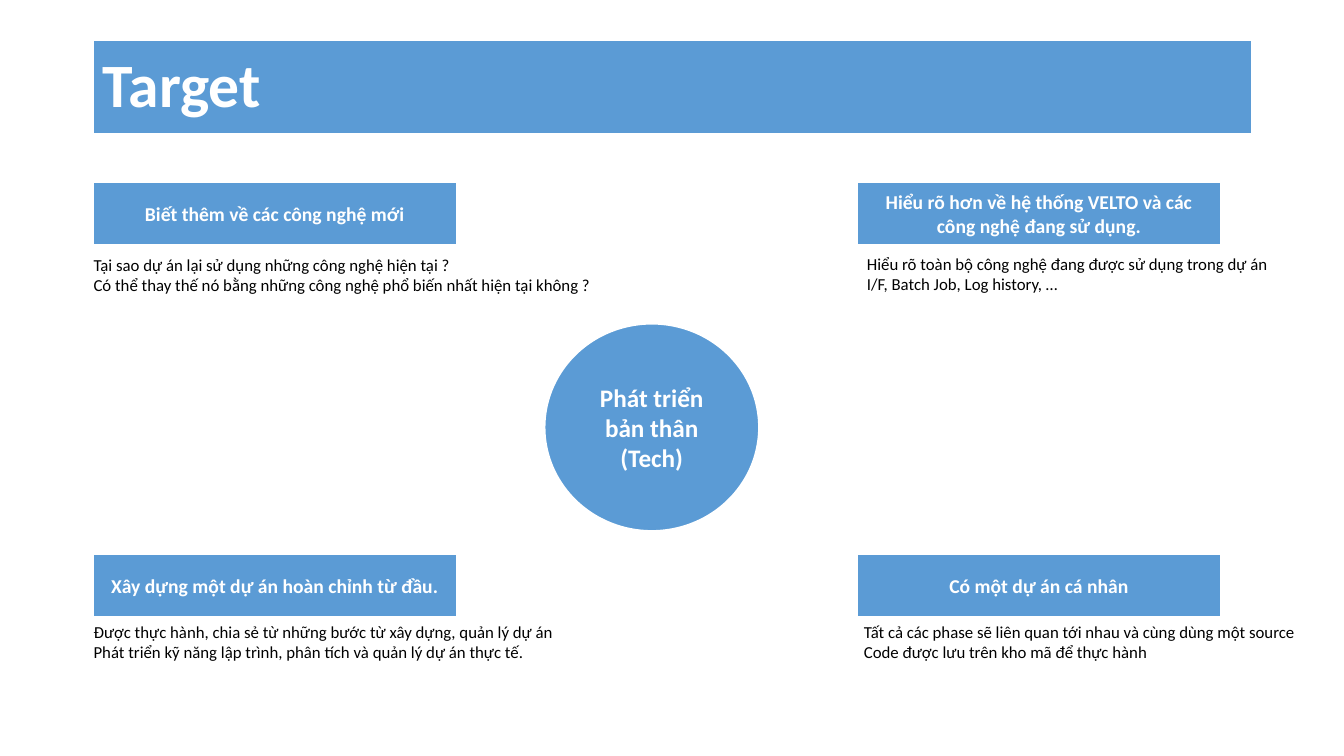
from pptx import Presentation
from pptx.dml.color import RGBColor
from pptx.enum.shapes import MSO_SHAPE as Shape
from pptx.enum.text import MSO_ANCHOR as Anchor, MSO_AUTO_SIZE as AutoSize, PP_ALIGN as Align
from pptx.util import Inches, Pt

BLUE = RGBColor(0x5B, 0x9B, 0xD5)
WHITE = RGBColor(0xFF, 0xFF, 0xFF)
BLACK = RGBColor(0x00, 0x00, 0x00)

LEFT, RIGHT = 0.92, 8.5
TOP, BOTTOM = 1.81, 5.5
HEADING_WIDTH, HEADING_HEIGHT = 3.61, 0.62

# Heading box (left, top), heading, note offset from the heading's lower left corner, note size, lines
GOALS = [
    ((LEFT, TOP), "Biết thêm về các công nghệ mới", (-0.09, 0.05), (5.14, 0.5),
     ["Tại sao dự án lại sử dụng những công nghệ hiện tại ?",
      "Có thể thay thế nó bằng những công nghệ phổ biến nhất hiện tại không ?"]),
    ((RIGHT, TOP), "Hiểu rõ hơn về hệ thống VELTO và các công nghệ đang sử dụng.",
     (0, 0.04), (4.22, 0.5),
     ["Hiểu rõ toàn bộ công nghệ đang được sử dụng trong dự án",
      "I/F, Batch Job, Log history, …"]),
    ((LEFT, BOTTOM), "Xây dựng một dự án hoàn chỉnh từ đầu.", (-0.09, 0), (4.81, 0.5),
     ["Được thực hành, chia sẻ từ những bước từ xây dựng, quản lý dự án",
      "Phát triển kỹ năng lập trình, phân tích và quản lý dự án thực tế."]),
    ((RIGHT, BOTTOM), "Có một dự án cá nhân", (-0.03, 0), (4.56, 0.5),
     ["Tất cả các phase sẽ liên quan tới nhau và cùng dùng một source",
      "Code được lưu trên kho mã để thực hành"]),
]


def write_lines(frame, lines, align, size, color, bold=False, spacing=1.0):
    font_format = {"name": "Calibri", "size": Pt(size), "bold": bold}
    for index, line in enumerate(lines):
        para = frame.add_paragraph() if index else frame.paragraphs[0]
        para.alignment = align
        para.line_spacing = spacing
        span = para.add_run()
        span.text = line
        for name, value in font_format.items():
            setattr(span.font, name, value)
        span.font.color.rgb = color


def paint(shape):
    """Give a shape the blue fill and white outline, with its text in the middle."""
    shape.fill.solid()
    shape.fill.fore_color.rgb = BLUE
    shape.line.color.rgb = WHITE
    shape.line.width = Pt(1.5)
    shape.text_frame.word_wrap = True
    shape.text_frame.vertical_anchor = Anchor.MIDDLE


def add_title(slide, box, text):
    title = slide.shapes.title
    for name, value in zip(("left", "top", "width", "height"), box):
        setattr(title, name, Inches(value))
    paint(title)
    title.text_frame.auto_size = AutoSize.NONE
    write_lines(title.text_frame, [text], Align.LEFT, 44, WHITE, bold=True, spacing=0.9)


def add_label(slide, kind, box, text, size):
    label = slide.shapes.add_shape(kind, *map(Inches, box))
    label.shadow.inherit = False
    paint(label)
    write_lines(label.text_frame, [text], Align.CENTER, size, WHITE, bold=True)


def add_note(slide, box, lines):
    frame = slide.shapes.add_textbox(*map(Inches, box)).text_frame
    frame.word_wrap = False
    frame.auto_size = AutoSize.SHAPE_TO_FIT_TEXT
    write_lines(frame, lines, Align.LEFT, 12, BLACK)


def add_goal(slide, corner, heading, note_offset, note_size, lines):
    left, top = corner
    add_label(slide, Shape.RECTANGLE, (left, top, HEADING_WIDTH, HEADING_HEIGHT), heading, 14)
    shift, gap = note_offset
    add_note(slide, (left + shift, top + HEADING_HEIGHT + gap, *note_size), lines)


def main():
    deck = Presentation()
    deck.slide_width, deck.slide_height = Inches(13.33), Inches(7.5)
    slide = deck.slides.add_slide(deck.slide_layouts.get_by_name("Title Only"))
    add_title(slide, (LEFT, 0.4, 11.5, 0.93), "Target")
    add_label(slide, Shape.OVAL, (5.4, 3.21, 2.13, 2.06), "Phát triển bản thân (Tech)", 18)
    for goal in GOALS:
        add_goal(slide, *goal)
    deck.save("out.pptx")


if __name__ == "__main__":
    main()
